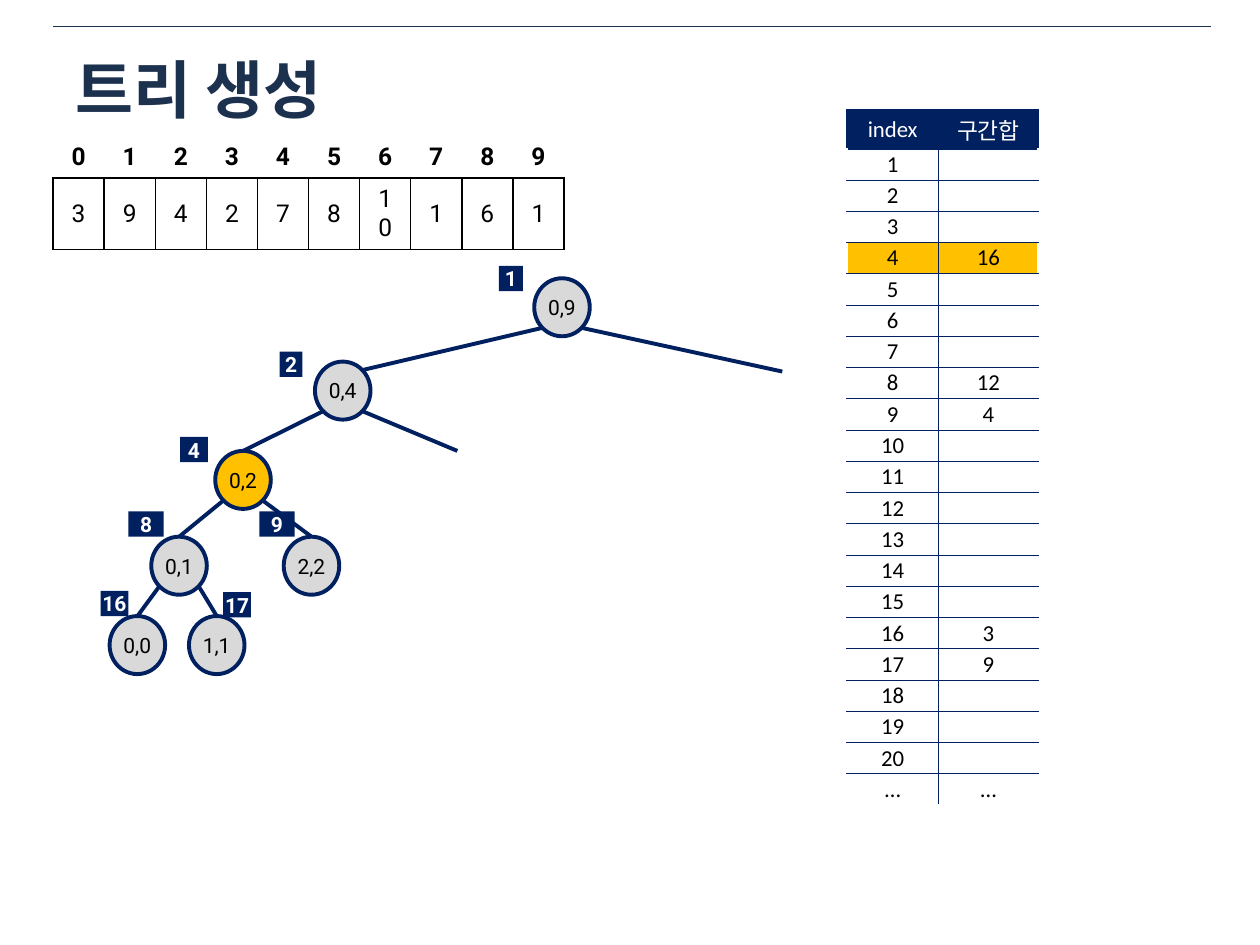
from lxml import etree
from pptx import Presentation
from pptx.dml.color import RGBColor
from pptx.enum.shapes import MSO_CONNECTOR, MSO_SHAPE
from pptx.enum.text import MSO_ANCHOR, PP_ALIGN
from pptx.oxml.ns import qn
from pptx.util import Cm, Pt

OVAL, RECT = MSO_SHAPE.OVAL, MSO_SHAPE.RECTANGLE
STRAIGHT = MSO_CONNECTOR.STRAIGHT
MIDDLE = MSO_ANCHOR.MIDDLE
LEFT, CENTER = PP_ALIGN.LEFT, PP_ALIGN.CENTER

COLORS = {"title": "1C314E", "navy": "002060", "grey": "D9D9D9",
          "amber": "FFC000", "black": "000000", "white": "FFFFFF"}
KOREAN, BODY, TABLE = "Noto Sans CJK KR", "Roboto", "Calibri"

NODE_W, NODE_H = 1.12, 1.17
DIAGONAL = 0.354  # share of the diameter from centre to a 45° point
TAG_H = 0.51

# Tree number: (node left, node top, range, tag left, tag top, tag width)
NODES = {
    1: (10.77, 5.61, "0,9", 10.06, 5.36, 0.48),
    2: (6.35, 7.29, "0,4", 5.64, 7.09, 0.46),
    4: (4.34, 9.09, "0,2", 3.63, 8.81, 0.56),
    8: (3.05, 10.82, "0,1", 2.59, 10.31, 0.71),
    9: (5.72, 10.82, "2,2", 5.23, 10.31, 0.71),
    16: (2.21, 12.42, "0,0", 2.03, 11.91, 0.56),
    17: (3.81, 12.42, "1,1", 4.5, 11.94, 0.56),
}
OPEN_ENDS = {1: (15.77, 7.49), 2: (9.22, 9.09)}
CURRENT = 4
ARRAY = [3, 9, 4, 2, 7, 8, 10, 1, 6, 1]
SUMS = {4: 16, 8: 12, 9: 4, 16: 3, 17: 9}


def rgb(name):
    return RGBColor.from_string(COLORS[name])


def write(tf, text, size=12, font=BODY, color="black", bold=False, align=CENTER):
    p = tf.paragraphs[0]
    p.alignment = align
    if not text:  # an empty cell still needs a text size to keep its row low
        etree.SubElement(p._p, qn("a:endParaRPr"), sz=str(size * 100))
        return
    r = p.add_run()
    r.text = text
    r.font.size, r.font.name, r.font.bold = Pt(size), font, bold
    r.font.color.rgb = rgb(color)
    etree.SubElement(r._r.get_or_add_rPr(), qn("a:ea"), typeface=KOREAN)


def node_point(number, dx, dy):
    """Point of a node, given as shares of its size from the centre."""
    x, y = NODES[number][:2]
    return x + NODE_W * (0.5 + dx), y + NODE_H * (0.5 + dy)


class Deck:
    def __init__(self):
        self.prs = Presentation()
        self.prs.slide_width, self.prs.slide_height = Cm(25.4), Cm(19.05)
        self.line_color, self.line_width = "navy", 2.25
        self.s = self.prs.slides.add_slide(self.prs.slide_layouts[6])

    def text(self, x, y, w, h, text, **style):
        tf = self.s.shapes.add_textbox(Cm(x), Cm(y), Cm(w), Cm(h)).text_frame
        tf.word_wrap = True
        tf.vertical_anchor = MIDDLE
        write(tf, text, **style)

    def shape(self, kind, x, y, w, h, text, fill, outline=True, **style):
        sp = self.s.shapes.add_shape(kind, Cm(x), Cm(y), Cm(w), Cm(h))
        sp.shadow.inherit = False
        sp.fill.solid()
        sp.fill.fore_color.rgb = rgb(fill)
        if outline:
            sp.line.color.rgb = rgb(self.line_color)
            sp.line.width = Pt(self.line_width)
        else:
            sp.line.fill.background()
        tf = sp.text_frame
        tf.margin_left = tf.margin_right = tf.margin_top = tf.margin_bottom = 0
        tf.word_wrap = False
        tf.vertical_anchor = MIDDLE
        write(tf, text, **style)

    def line(self, start, end, color=None, width=None):
        ends = [Cm(v) for v in (*start, *end)]
        c = self.s.shapes.add_connector(STRAIGHT, *ends)
        c.line.color.rgb = rgb(color or self.line_color)
        c.line.width = Pt(width or self.line_width)
        etree.SubElement(c._element.spPr, qn("a:effectLst"))

    def table(self, x, y, widths, heights):
        frame = self.s.shapes.add_table(len(heights), len(widths), Cm(x), Cm(y),
                                        Cm(sum(widths)), Cm(sum(heights)))
        table = frame.table
        table.first_row = table.horz_banding = False
        for column, width in zip(table.columns, widths):
            column.width = Cm(width)
        for row, height in zip(table.rows, heights):
            row.height = Cm(height)
        return table

    def cell(self, cell, text, fill=None, borders=None, margins=None, **style):
        """Borders map a side (L, R, T, B) to a colour and a width in points."""
        cell.vertical_anchor = MIDDLE
        if margins:
            cell.margin_left = cell.margin_right = Cm(margins[0])
            cell.margin_top = cell.margin_bottom = Cm(margins[1])
        if fill:
            cell.fill.solid()
            cell.fill.fore_color.rgb = rgb(fill)
        else:
            cell.fill.background()
        tcPr = cell._tc.get_or_add_tcPr()
        sides = [side for side in "LRTB" if side in (borders or {})]
        for i, side in enumerate(sides):
            color, width = borders[side]
            ln = etree.Element(qn("a:ln" + side), w=str(Pt(width)))
            solid = etree.SubElement(ln, qn("a:solidFill"))
            etree.SubElement(solid, qn("a:srgbClr"), val=COLORS[color])
            tcPr.insert(i, ln)
        write(cell.text_frame, text, **style)


def main():
    deck = Deck()

    # Top rule and title
    deck.line((1.07, 0.53), (24.41, 0.53), color="title", width=0.25)
    deck.text(1.27, 0.84, 22.86, 1.9, "트리 생성", size=36, font=KOREAN,
              color="title", bold=True, align=LEFT)

    # Array with its positions
    array = deck.table(1.07, 2.74, [1.03] * len(ARRAY), [0.74, 0.74])
    edge = ("black", 1)
    for i, value in enumerate(ARRAY):
        deck.cell(array.cell(0, i), str(i), borders={"B": edge}, size=14, bold=True)
        deck.cell(array.cell(1, i), str(value), borders=dict.fromkeys("LRTB", edge),
                  size=14)

    # Tree nodes
    for number, (x, y, span, *_) in NODES.items():
        deck.shape(OVAL, x, y, NODE_W, NODE_H, span,
                   "amber" if number == CURRENT else "grey")

    # Tree edges: from a parent's lower side to the top of its child
    for number in NODES:
        parent = number // 2
        if parent in NODES:
            side = DIAGONAL if number % 2 else -DIAGONAL
            top = (DIAGONAL, -DIAGONAL) if parent == 1 else (0, -0.5)
            deck.line(node_point(parent, side, DIAGONAL), node_point(number, *top))
    for number, end in OPEN_ENDS.items():
        deck.line(node_point(number, DIAGONAL, DIAGONAL), end)

    # Number tags
    for number, (*_, x, y, w) in NODES.items():
        deck.shape(RECT, x, y, w, TAG_H, str(number), "navy", outline=False,
                   color="white", bold=True)

    # Table of range sums
    rows = [("index", "구간합")]
    rows += [(str(i), str(SUMS.get(i, ""))) for i in range(1, 21)]
    rows.append(("…", "…"))
    sums = deck.table(17.07, 2.21, [1.85, 2.01], [0.79] + [0.63] * (len(rows) - 1))
    thick, thin = ("navy", 1), ("navy", 0.5)
    for i, row in enumerate(rows):
        for j, text in enumerate(row):
            if i == 0:
                fill, color, borders = "navy", "white", dict.fromkeys("LRTB", thick)
            else:
                fill, color = "amber" if i == CURRENT else None, "black"
                borders = {"L" if j else "R": thin, "T": thick if i == 1 else thin}
                if i < len(rows) - 1:
                    borders["B"] = thin
            deck.cell(sums.cell(i, j), text, fill, borders, margins=(0.1, 0),
                      size=13, font=TABLE, color=color)

    deck.prs.save("out.pptx")


if __name__ == "__main__":
    main()
